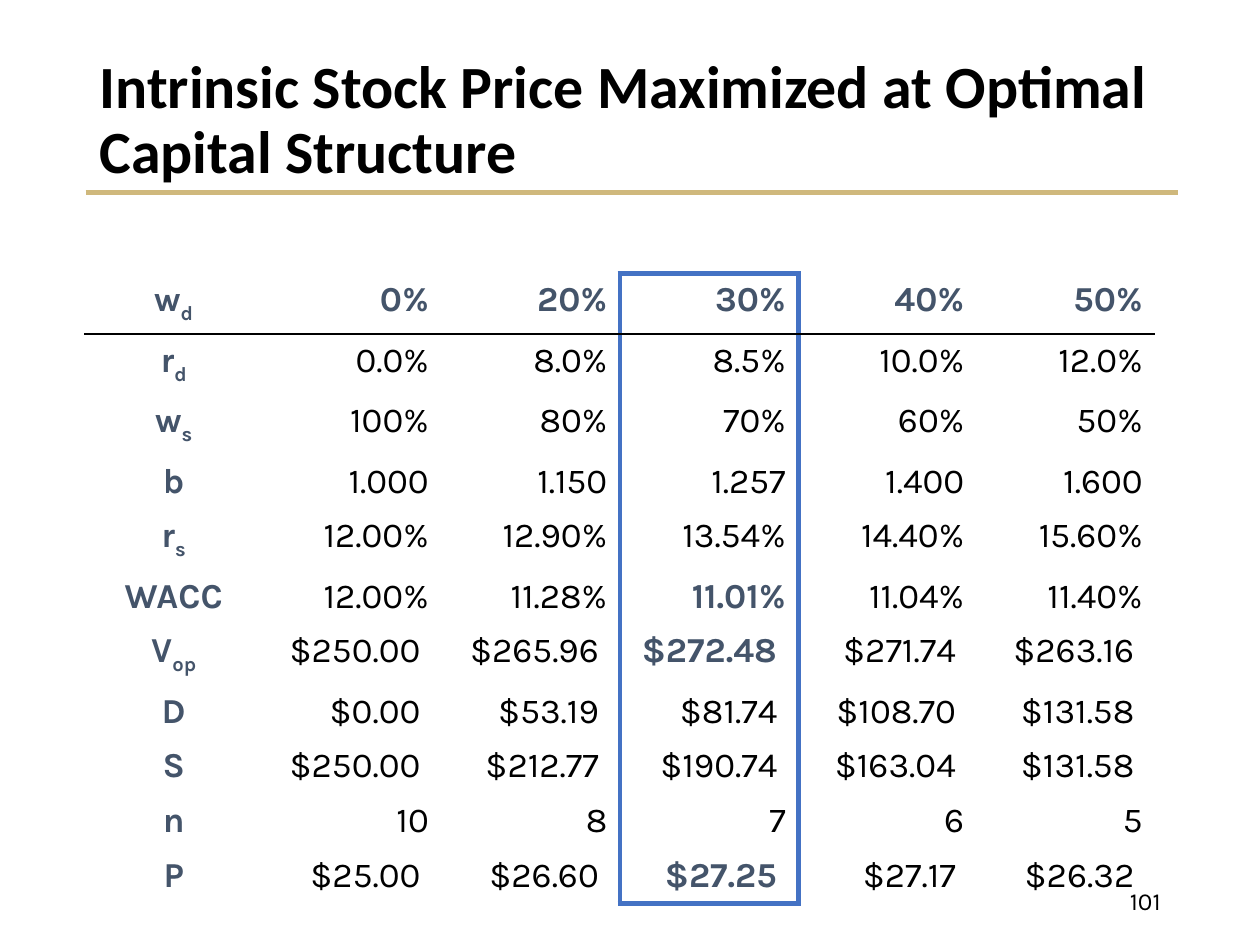
from pptx import Presentation
from pptx.dml.color import RGBColor
from pptx.enum.shapes import MSO_CONNECTOR as Link
from pptx.enum.text import MSO_ANCHOR as Anchor, PP_ALIGN as Align
from pptx.oxml.ns import qn
from pptx.util import Inches, Pt
from lxml.etree import SubElement

HUES = {"black": "000000", "slate": "44546A", "blue": "4472C4", "gold": "CFB87C"}
BEST = 3
ROWS = [
    ("w_d", "0%", "20%", "30%", "40%", "50%"),
    ("r_d", "0.0%", "8.0%", "8.5%", "10.0%", "12.0%"),
    ("w_s", "100%", "80%", "70%", "60%", "50%"),
    ("b", "1.000", "1.150", "1.257", "1.400", "1.600"),
    ("r_s", "12.00%", "12.90%", "13.54%", "14.40%", "15.60%"),
    ("WACC", "12.00%", "11.28%", "11.01%", "11.04%", "11.40%"),
    ("V_op", "$250.00 ", "$265.96 ", "$272.48 ", "$271.74 ", "$263.16 "),
    ("D", "$0.00 ", "$53.19 ", "$81.74 ", "$108.70 ", "$131.58 "),
    ("S", "$250.00 ", "$212.77 ", "$190.74 ", "$163.04 ", "$131.58 "),
    ("n", "10", "8", "7", "6", "5"),
    ("P", "$25.00 ", "$26.60 ", "$27.25 ", "$27.17 ", "$26.32 "),
]
PEAKS = ("WACC", "V_op", "P")


def style(run, size, face, hue="black", bold=False):
    font = run.font
    font.size, font.name, font.bold = Pt(size), face, bold
    font.color.rgb = RGBColor.from_string(HUES[hue])


def add_title(slide, text):
    title = slide.shapes.title
    title.left, title.top = Inches(0.69), Inches(0.4)
    title.width, title.height = Inches(8.62), Inches(1.13)
    frame = title.text_frame
    frame.text = text
    frame.word_wrap = True
    frame.vertical_anchor = Anchor.MIDDLE
    para = frame.paragraphs[0]
    para.alignment, para.line_spacing = Align.LEFT, 0.9
    style(para.runs[0], 34.2, "Calibri", bold=True)


def add_rule(slide):
    y = Inches(1.53)
    rule = slide.shapes.add_connector(Link.STRAIGHT, Inches(0.68), y, Inches(9.35), y)
    rule.line.color.rgb = RGBColor.from_string(HUES["gold"])
    rule.line.width = Pt(3)
    SubElement(rule._element.spPr, qn("a:effectLst"))


def add_number(slide, text):
    box = slide.shapes.add_textbox(Inches(7.06), Inches(6.95), Inches(2.25), Inches(0.4))
    frame = box.text_frame
    frame.text = text
    frame.word_wrap = True
    frame.vertical_anchor = Anchor.MIDDLE
    frame.paragraphs[0].alignment = Align.RIGHT
    style(frame.paragraphs[0].runs[0], 14, "Karla")


def find_edges(row, col):
    edges = {}
    if col in (BEST, BEST + 1):
        edges["L"] = ("blue", 3)
    if col in (BEST - 1, BEST):
        edges["R"] = ("blue", 3)
    if row == 1:
        edges["T"] = ("black", 1)
    elif row == 0 and col == BEST:
        edges["T"] = ("blue", 3)
    if row == 0:
        edges["B"] = ("black", 1)
    elif row == len(ROWS) - 1 and col == BEST:
        edges["B"] = ("blue", 3)
    return edges


def draw_edges(cell, edges):
    props = cell._tc.get_or_add_tcPr()
    for side in "LRTB":
        line = SubElement(props, qn(f"a:ln{side}"))
        if side in edges:
            hue, width = edges[side]
            line.set("w", str(Pt(width)))
            fill = SubElement(line, qn("a:solidFill"))
            SubElement(fill, qn("a:srgbClr")).set("val", HUES[hue])
        else:
            line.set("w", "0")
            SubElement(line, qn("a:noFill"))


def fill_cell(cell, text, align, strong):
    base, _, sub = text.partition("_")
    para = cell.text_frame.paragraphs[0]
    para.text = base
    para.alignment = align
    if sub:
        run = para.add_run()
        run.text = sub
        run._r.get_or_add_rPr().set("baseline", "-25000")
    for run in para.runs:
        style(run, 20, "Karla", "slate" if strong else "black", strong)


def add_grid(slide):
    table = slide.shapes.add_table(len(ROWS), len(ROWS[0]), Inches(0.67), Inches(2.17),
                                   Inches(8.5), Inches(4.77)).table
    table.first_row = table.horz_banding = False
    for r, row in enumerate(ROWS):
        for c, text in enumerate(row):
            cell = table.cell(r, c)
            draw_edges(cell, find_edges(r, c))
            cell.fill.background()
            strong = r == 0 or c == 0 or (c == BEST and row[0] in PEAKS)
            fill_cell(cell, text, Align.RIGHT if c else Align.CENTER, strong)


def main():
    deck = Presentation()
    deck.slide_width, deck.slide_height = Inches(10), Inches(7.5)
    slide = deck.slides.add_slide(deck.slide_layouts[5])
    add_rule(slide)
    add_number(slide, "101")
    add_title(slide, "Intrinsic Stock Price Maximized at Optimal Capital Structure")
    add_grid(slide)
    deck.save("out.pptx")


if __name__ == "__main__":
    main()
